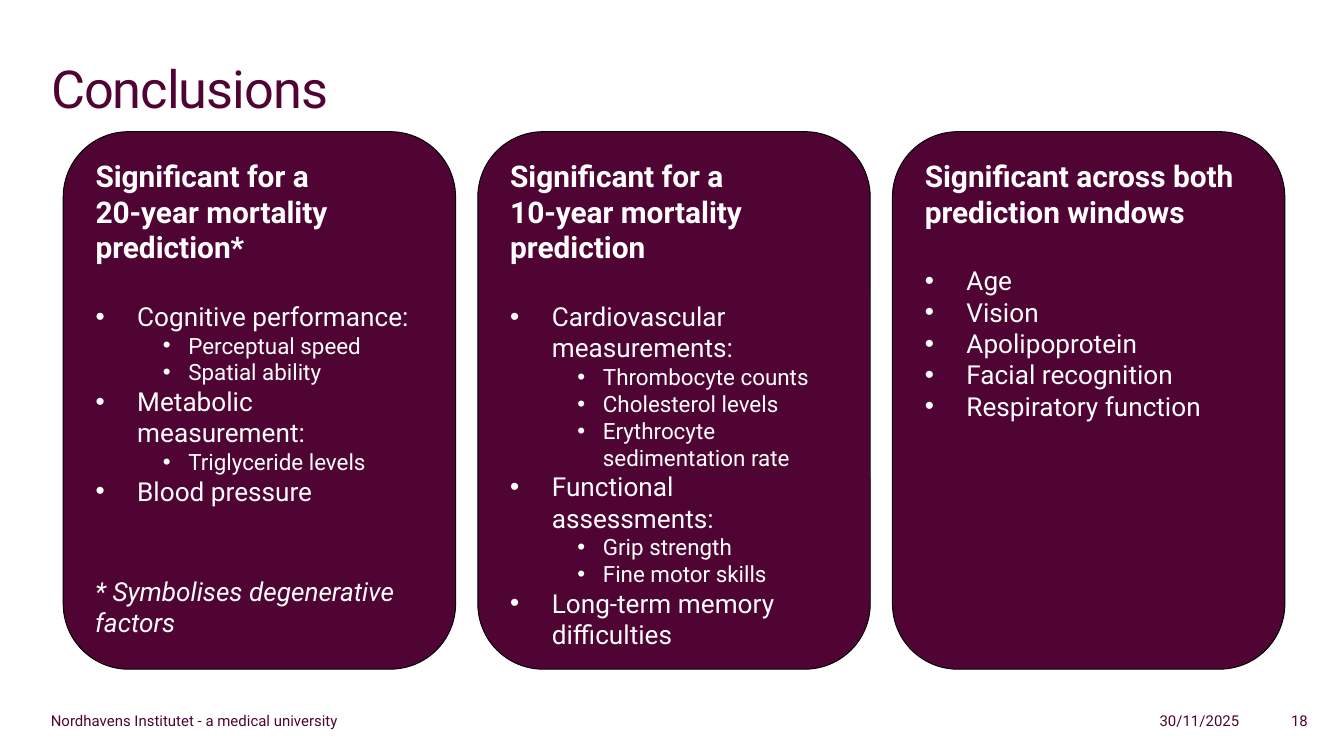
from dataclasses import dataclass

from lxml import etree
from pptx import Presentation
from pptx.dml.color import RGBColor
from pptx.enum import shapes, text
from pptx.oxml import ns
from pptx.util import Inches, Pt

COLORS = {"plum": "4F0433", "white": "FFFFFF", "black": "000000"}
FONT = "Roboto"
CARD_LEFT, CARD_RIGHT, CARD_TOP = 0.47, 9.56, 0.98
CARD_WIDTH, CARD_HEIGHT = 2.92, 4
HEADING_GAP = 19
# Per list level: text size, left margin and hanging indent
BULLET_STYLES = [(14, 0.31, -0.31), (12, 0.69, -0.19)]


@dataclass
class Card:
    heading: list[str]
    bullets: list[tuple[int, str]]


@dataclass
class FooterItem:
    content: str
    left: float
    width: float
    align: text.PP_ALIGN


CARDS = [
    Card(
        ["Significant for a", "20-year mortality prediction*"],
        [
            (0, "Cognitive performance:"),
            (1, "Perceptual speed"),
            (1, "Spatial ability"),
            (0, "Metabolic measurement:"),
            (1, "Triglyceride levels"),
            (0, "Blood pressure"),
        ],
    ),
    Card(
        ["Significant for a", "10-year mortality prediction"],
        [
            (0, "Cardiovascular measurements:"),
            (1, "Thrombocyte counts"),
            (1, "Cholesterol levels"),
            (1, "Erythrocyte sedimentation rate"),
            (0, "Functional assessments:"),
            (1, "Grip strength"),
            (1, "Fine motor skills"),
            (0, "Long-term memory difficulties"),
        ],
    ),
    Card(
        ["Significant across both prediction windows"],
        [
            (0, "Age"),
            (0, "Vision"),
            (0, "Apolipoprotein"),
            (0, "Facial recognition"),
            (0, "Respiratory function"),
        ],
    ),
]

FOOTER = [
    FooterItem("Nordhavens Institutet - a medical university", 0.28, 2.44, text.PP_ALIGN.LEFT),
    FooterItem("30/11/2025", 7.24, 2.08, text.PP_ALIGN.RIGHT),
    FooterItem("18", 9.08, 0.75, text.PP_ALIGN.RIGHT),
]


def rgb(name: str) -> RGBColor:
    return RGBColor.from_string(COLORS[name])


def write(frame, content: str, *, size: float, color: str = "white", bold: bool = False,
          italic: bool = False, align=text.PP_ALIGN.LEFT, before: float = 0):
    """Fill the frame's empty first paragraph, or append a new one."""
    paragraph = frame.paragraphs[0] if not frame.text else frame.add_paragraph()
    paragraph.alignment = align
    paragraph.space_before = Pt(before)
    run = paragraph.add_run()
    run.text = content
    font = run.font
    font.name, font.size, font.bold, font.italic = FONT, Pt(size), bold, italic
    font.color.rgb = rgb(color)
    return paragraph


def add_bullet(paragraph, level: int, margin: float, indent: float) -> None:
    paragraph.level = level
    properties = paragraph._p.get_or_add_pPr()
    properties.set("marL", str(Inches(margin)))
    properties.set("indent", str(Inches(indent)))
    etree.SubElement(properties, ns.qn("a:buFont"), typeface="Arial")
    etree.SubElement(properties, ns.qn("a:buChar"), char="•")


def add_panel(slide, kind, left: float, top: float, width: float, height: float,
              line: str, fill: str | None = None):
    """Add an outlined shape and return its top-anchored text frame."""
    shape = slide.shapes.add_shape(kind, Inches(left), Inches(top), Inches(width), Inches(height))
    shape.shadow.inherit = False
    if fill:
        shape.fill.solid()
        shape.fill.fore_color.rgb = rgb(fill)
    else:
        shape.fill.background()
    shape.line.color.rgb = rgb(line)
    shape.line.width = Pt(0.5)
    frame = shape.text_frame
    frame.word_wrap = True
    frame.vertical_anchor = text.MSO_ANCHOR.TOP
    return frame


def add_title(slide, content: str) -> None:
    title = slide.shapes.title
    title.left, title.top = Inches(0.28), Inches(0.37)
    title.width, title.height = Inches(9.44), Inches(0.94)
    frame = title.text_frame
    frame.auto_size = text.MSO_AUTO_SIZE.NONE
    frame.vertical_anchor = text.MSO_ANCHOR.TOP
    paragraph = write(frame, content, size=28, color="plum")
    paragraph.runs[0].font._element.set("spc", "-50")


def add_card(slide, card: Card, left: float) -> None:
    frame = add_panel(slide, shapes.MSO_SHAPE.ROUNDED_RECTANGLE, left, CARD_TOP,
                      CARD_WIDTH, CARD_HEIGHT, line="black", fill="plum")
    for line in card.heading:
        write(frame, line, size=16, bold=True)
    for index, (level, content) in enumerate(card.bullets):
        size, margin, indent = BULLET_STYLES[level]
        paragraph = write(frame, content, size=size, before=0 if index else HEADING_GAP)
        add_bullet(paragraph, level, margin, indent)


def add_footer_item(slide, item: FooterItem) -> None:
    box = slide.shapes.add_textbox(Inches(item.left), Inches(5.24), Inches(item.width), Inches(0.19))
    frame = box.text_frame
    frame.word_wrap = True
    frame.margin_top = frame.margin_bottom = 0
    frame.vertical_anchor = text.MSO_ANCHOR.BOTTOM
    write(frame, item.content, size=8, color="plum", align=item.align)


def main() -> None:
    presentation = Presentation()
    presentation.slide_width = Inches(10)
    presentation.slide_height = Inches(10 * 9 / 16)
    slide = presentation.slides.add_slide(presentation.slide_layouts[5])

    add_title(slide, "Conclusions")
    for item in FOOTER:
        add_footer_item(slide, item)

    pitch = (CARD_RIGHT - CARD_LEFT - CARD_WIDTH) / (len(CARDS) - 1)
    for index, card in enumerate(CARDS):
        add_card(slide, card, CARD_LEFT + index * pitch)

    footnote = add_panel(slide, shapes.MSO_SHAPE.RECTANGLE, 0.61, 4.23, 2.62, 0.57, line="plum")
    write(footnote, "* Symbolises degenerative factors", size=14, italic=True)

    presentation.save("out.pptx")


if __name__ == "__main__":
    main()
